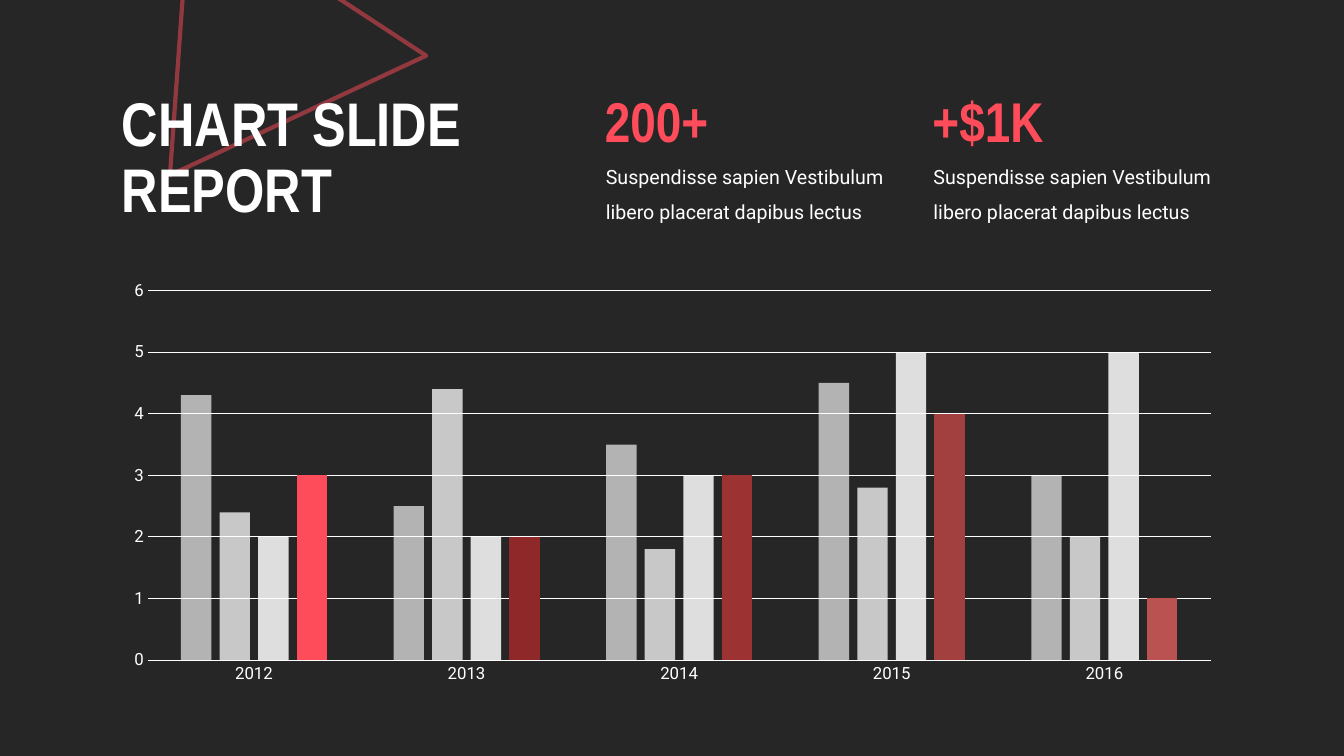
from pptx import Presentation
from pptx.chart.data import CategoryChartData
from pptx.dml.color import RGBColor
from pptx.enum.chart import XL_CHART_TYPE, XL_TICK_MARK
from pptx.enum.shapes import MSO_SHAPE
from pptx.enum.text import MSO_ANCHOR
from pptx.oxml.ns import qn
from pptx.util import Inches, Pt

COLUMNS = XL_CHART_TYPE.COLUMN_CLUSTERED
NO_TICKS = XL_TICK_MARK.NONE
TRIANGLE = MSO_SHAPE.ISOSCELES_TRIANGLE
MIDDLE = MSO_ANCHOR.MIDDLE
TOP = MSO_ANCHOR.TOP

DARK = RGBColor(0x26, 0x26, 0x26)
WHITE = RGBColor(0xFF, 0xFF, 0xFF)
CORAL = RGBColor(0xFF, 0x4C, 0x5B)
REDS = [
    RGBColor(0x8F, 0x28, 0x28),
    RGBColor(0x9C, 0x32, 0x32),
    RGBColor(0xA2, 0x40, 0x40),
    RGBColor(0xBB, 0x52, 0x52),
]
HEADING_FONT = "Arial Narrow"
BODY_FONT = "Roboto"

YEARS = ["2012", "2013", "2014", "2015", "2016"]
SERIES = [
    ("Series 1", [4.3, 2.5, 3.5, 4.5, 3], WHITE, 65),
    ("Series 2", [2.4, 4.4, 1.8, 2.8, 2], WHITE, 75),
    ("Series 3", [2, 2, 3, 5, 5], WHITE, 85),
    ("Series 4", [3, 2, 3, 4, 1], CORAL, 100),
]
FIGURES = ["200+", "+$1K"]
FIGURE_NOTE = "Suspendisse sapien Vestibulum libero placerat dapibus lectus"


def set_opacity(element, percent):
    for color in element.iter(qn("a:srgbClr")):
        alpha = color.makeelement(qn("a:alpha"), {"val": str(percent * 1000)})
        color.append(alpha)


def style_font(font, name, size, color, bold=False):
    font.name = name
    font.size = Pt(size)
    font.bold = bold
    font.color.rgb = color


def add_text(slide, box, text, name, size, color, bold=False, spacing=1.0, anchor=TOP):
    frame = slide.shapes.add_textbox(*map(Inches, box)).text_frame
    frame.word_wrap = True
    frame.vertical_anchor = anchor
    paragraph = frame.paragraphs[0]
    paragraph.text = text
    paragraph.line_spacing = spacing
    style_font(paragraph.font, name, size, color, bold)


def add_ornament(slide, left, top, width, height):
    ornament = slide.shapes.add_shape(TRIANGLE, *map(Inches, (left, top, width, height)))
    ornament.rotation = 94.1
    ornament.shadow.inherit = False
    ornament.fill.background()
    ornament.line.color.rgb = CORAL
    ornament.line.width = Pt(3)
    set_opacity(ornament.line._ln, 50)


def add_figure(slide, left, top, width, figure):
    add_text(slide, (left, top, 1.79, 0.77), figure, HEADING_FONT, 40, CORAL, bold=True)
    add_text(slide, (left + 0.01, top + 0.66, width, 0.77), FIGURE_NOTE,
             BODY_FONT, 14, WHITE, spacing=1.5)


def add_report_chart(slide, left, top, width, height):
    report = CategoryChartData()
    report.categories = YEARS
    for name, values, _, _ in SERIES:
        report.add_series(name, values)
    chart = slide.shapes.add_chart(
        COLUMNS, *map(Inches, (left, top, width, height)), report).chart
    chart.has_legend = False
    chart.has_title = False
    style_font(chart.font, BODY_FONT, 10, WHITE)

    plot = chart.plots[0]
    plot.gap_width = 219
    plot.overlap = -27
    plot.vary_by_categories = False
    for columns, (_, _, color, opacity) in zip(plot.series, SERIES):
        columns.invert_if_negative = False
        columns.format.fill.solid()
        columns.format.fill.fore_color.rgb = color
        if opacity < 100:
            set_opacity(columns._element, opacity)
    for index, red in enumerate(REDS, start=1):
        fill = plot.series[-1].points[index].format.fill
        fill.solid()
        fill.fore_color.rgb = red

    years, scale = chart.category_axis, chart.value_axis
    for axis in (years, scale):
        axis.major_tick_mark = NO_TICKS
        axis.minor_tick_mark = NO_TICKS
        style_font(axis.tick_labels.font, BODY_FONT, 12, WHITE)
    scale.minimum_scale = 0
    scale.maximum_scale = 6
    scale.major_unit = 1
    scale.has_major_gridlines = True
    scale.format.line.fill.background()
    for line in (years.format.line, scale.major_gridlines.format.line):
        line.color.rgb = WHITE
        line.width = Pt(0.75)


def build_chart_slide(presentation):
    slide = presentation.slides.add_slide(presentation.slide_layouts[6])
    slide.background.fill.solid()
    slide.background.fill.fore_color.rgb = DARK
    add_ornament(slide, 1.64, -0.76, 2.73, 2.45)
    add_text(slide, (1.11, 0.79, 5.62, 1.58), "CHART SLIDE\nREPORT",
             HEADING_FONT, 44, WHITE, bold=True, spacing=0.9, anchor=MIDDLE)
    add_report_chart(slide, 1.11, 2.7, 11.12, 4.17)
    for column, figure in enumerate(FIGURES):
        add_figure(slide, 5.9 + 3.25 * column, 0.81, 3.29, figure)


def main():
    presentation = Presentation()
    presentation.slide_width = Inches(13.33)
    presentation.slide_height = Inches(7.5)
    build_chart_slide(presentation)
    presentation.save("out.pptx")


if __name__ == "__main__":
    main()
